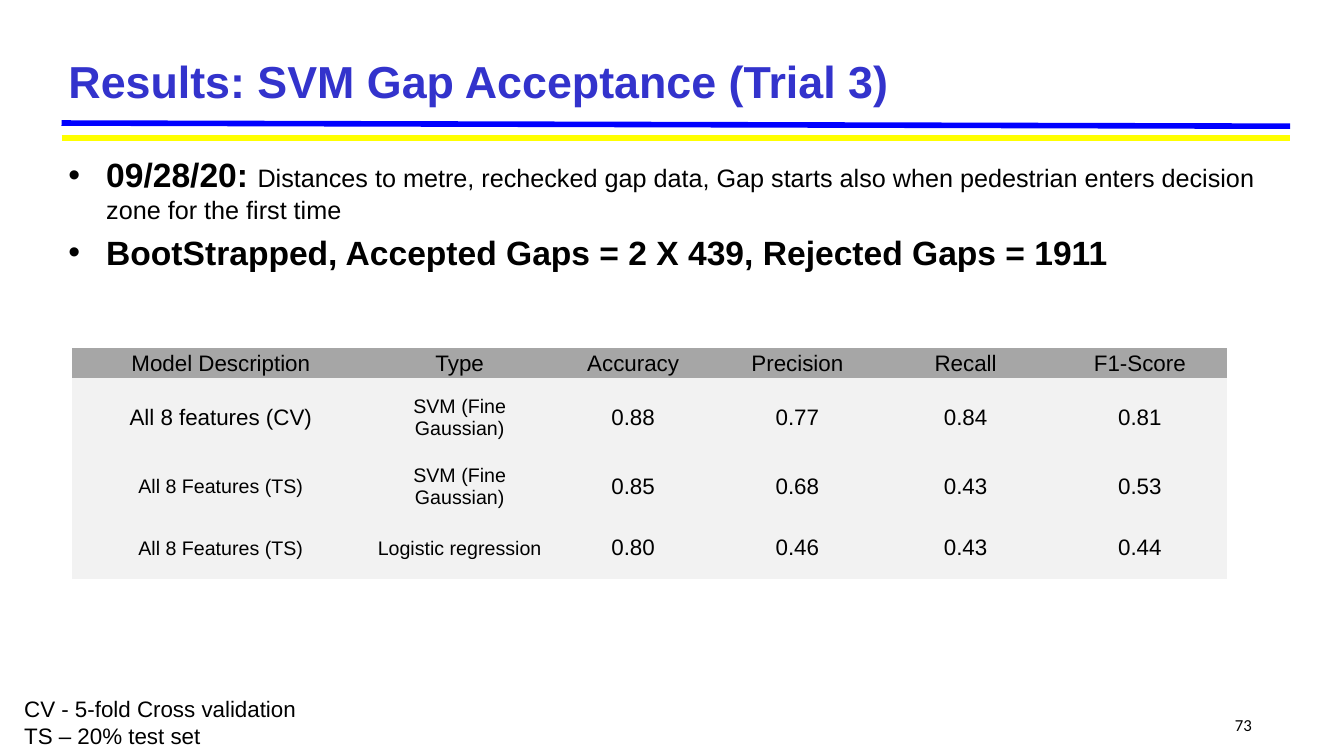
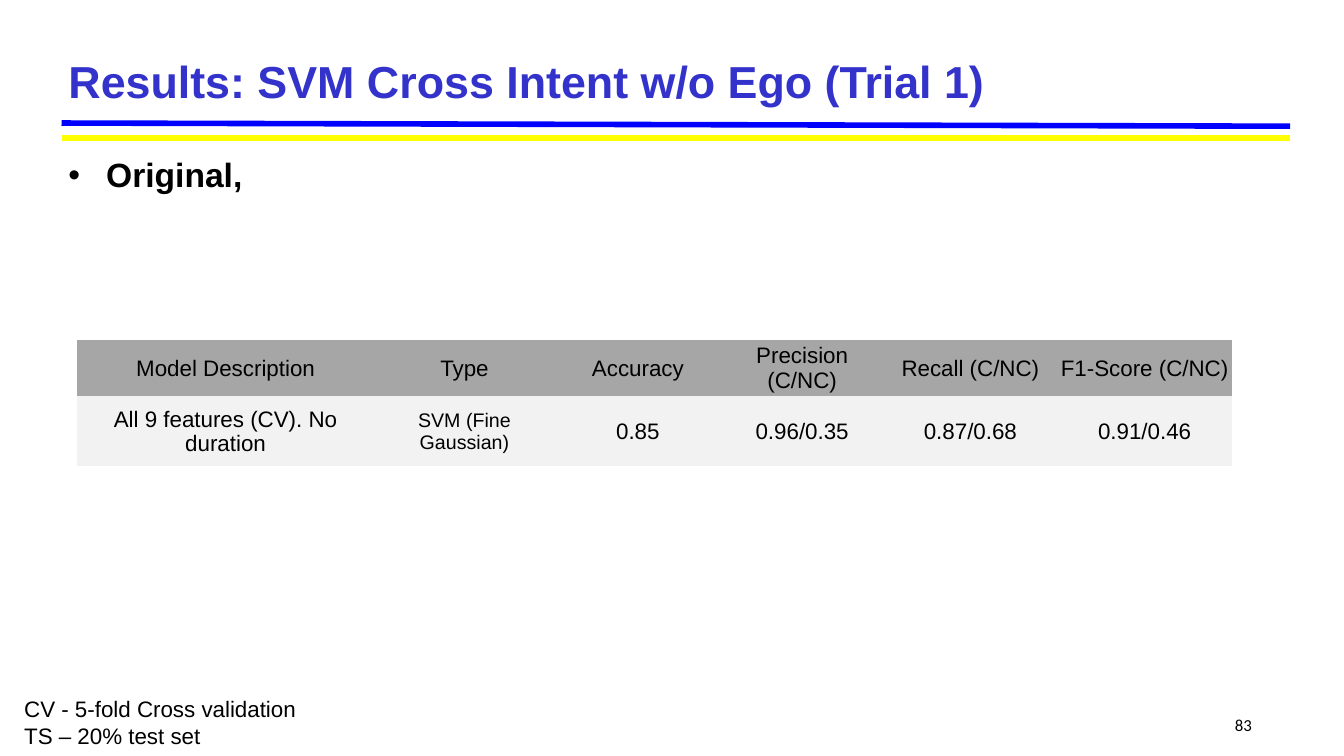
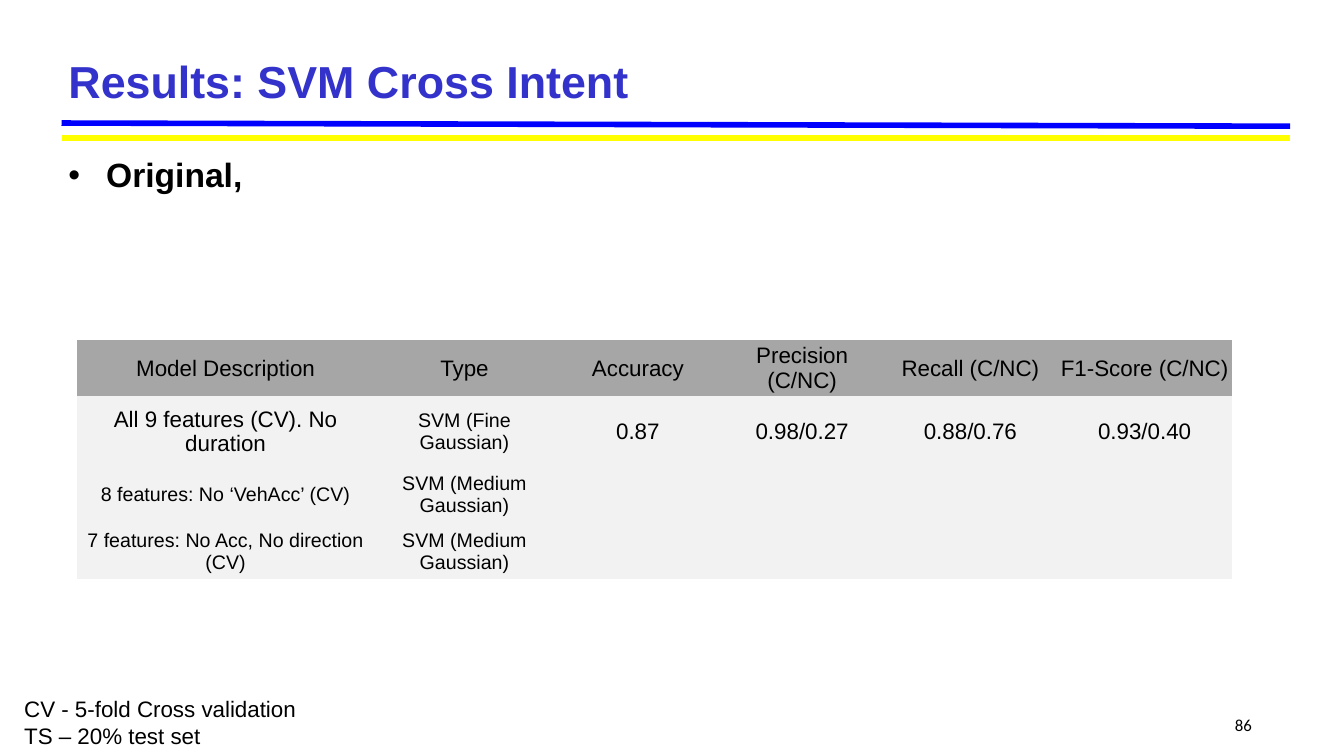
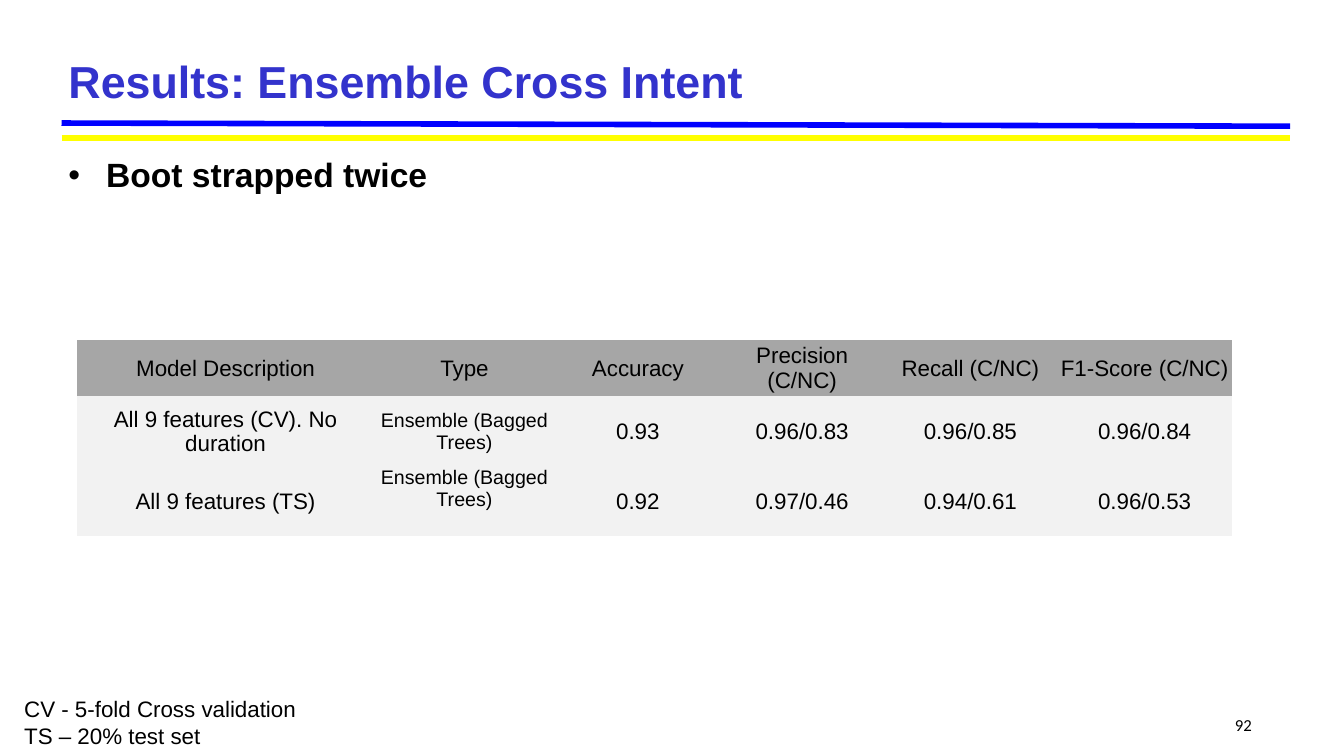
from pptx import Presentation
from pptx.dml.color import RGBColor
from pptx.enum.shapes import MSO_CONNECTOR
from pptx.enum.text import MSO_ANCHOR, MSO_AUTO_SIZE, PP_ALIGN
from pptx.oxml.ns import qn
from pptx.util import Cm, Pt
from lxml import etree

STRAIGHT = MSO_CONNECTOR.STRAIGHT
TOP, MIDDLE = MSO_ANCHOR.TOP, MSO_ANCHOR.MIDDLE
LEFT, CENTER, RIGHT = PP_ALIGN.LEFT, PP_ALIGN.CENTER, PP_ALIGN.RIGHT
NO_AUTOFIT = MSO_AUTO_SIZE.NONE

BLACK, HEADER_GREY, ROW_GREY = "000000", "A6A6A6", "F2F2F2"
TITLE_STYLE = {"name": "Arial", "size": Pt(32), "bold": True, "color": "3333CC"}
STRONG = {"name": "Arial", "size": Pt(24), "bold": True, "color": BLACK}
PLAIN = {"name": "Arial", "size": Pt(18), "bold": False, "color": BLACK}
LARGE = {"name": "Arial", "size": Pt(16), "color": BLACK}
SMALL = {"name": "Arial", "size": Pt(14), "color": BLACK}
NUMBER_STYLE = {"name": "Calibri", "size": Pt(12), "color": BLACK}

TITLE_AREA = (1.47, 1.27, 31.04, 1.5)
BODY_AREA = (1.47, 3.76, 31.17, 1.5)
NUMBER_AREA = (30.73, 17.88, 1.07, 0.66)
LEGEND_AREA = (0.36, 17.4, 16.94, 1.63)
RULES = [("0000FF", 3.1, 3.18), ("FFFF00", 3.48, 3.48)]
RULE_LEFT, RULE_RIGHT = 1.55, 32.51

LEGEND = ["CV - 5-fold Cross validation", "TS – 20% test set"]
COLUMN_WIDTHS = [7.49, 4.55, 4.19, 4.09, 4.39, 4.39]
TYPE_COLUMN = 1
NO_STYLE = "{2D5ABB26-0587-4C30-8999-92F81FD0307C}"
SCORES = ["Model Description", "Type", "Accuracy", "Precision", "Recall", "F1-Score"]
CLASS_SCORES = SCORES[:3] + [f"{name} (C/NC)" for name in SCORES[3:]]

PAGES = [
    {
        "title": "Results: SVM Gap Acceptance (Trial 3)",
        "number": "73",
        "bullets": [
            [("09/28/20: ", STRONG),
             ("Distances to metre, rechecked gap data, Gap starts also when "
              "pedestrian enters decision zone for the first time", PLAIN)],
            [("BootStrapped, Accepted Gaps = 2 X 439, Rejected Gaps = 1911", STRONG)],
        ],
        "corner": (1.82, 8.77),
        "header": (0.76, SCORES),
        "rows": [
            (1.95, LARGE, ["All 8 features (CV)", "SVM (Fine Gaussian)", "0.88", "0.77", "0.84", "0.81"]),
            (1.55, SMALL, ["All 8 Features (TS)", "SVM (Fine Gaussian)", "0.85", "0.68", "0.43", "0.53"]),
            (1.55, SMALL, ["All 8 Features (TS)", "Logistic regression", "0.80", "0.46", "0.43", "0.44"]),
        ],
    },
    {
        "title": "Results: SVM Cross Intent w/o Ego (Trial 1)",
        "number": "83",
        "bullets": [[("Original,", STRONG)]],
        "corner": (1.94, 8.57),
        "header": (1.42, CLASS_SCORES),
        "rows": [
            (1.76, LARGE, ["All 9 features (CV). No duration", "SVM (Fine Gaussian)",
                           "0.85", "0.96/0.35", "0.87/0.68", "0.91/0.46"]),
        ],
    },
    {
        "title": "Results: SVM Cross Intent",
        "number": "86",
        "bullets": [[("Original,", STRONG)]],
        "corner": (1.94, 8.57),
        "header": (1.42, CLASS_SCORES),
        "rows": [
            (1.76, LARGE, ["All 9 features (CV). No duration", "SVM (Fine Gaussian)",
                           "0.87", "0.98/0.27", "0.88/0.76", "0.93/0.40"]),
            (1.42, SMALL, ["8 features: No ‘VehAcc’ (CV)", "SVM (Medium Gaussian)", "", "", "", ""]),
            (1.42, SMALL, ["7 features: No Acc, No direction (CV)", "SVM (Medium Gaussian)", "", "", "", ""]),
        ],
    },
    {
        "title": "Results: Ensemble Cross Intent",
        "number": "92",
        "bullets": [[("Boot strapped twice", STRONG)]],
        "corner": (1.94, 8.57),
        "header": (1.42, CLASS_SCORES),
        "rows": [
            (1.76, LARGE, ["All 9 features (CV). No duration", "Ensemble (Bagged Trees)",
                           "0.93", "0.96/0.83", "0.96/0.85", "0.96/0.84"]),
            (1.76, LARGE, ["All 9 features (TS)", "Ensemble (Bagged Trees)",
                           "0.92", "0.97/0.46", "0.94/0.61", "0.96/0.53"]),
        ],
        "raised_cell": (2, TYPE_COLUMN),
    },
]


def color(value):
    return RGBColor.from_string(value)


def place(shape, area):
    for name, length in zip(("left", "top", "width", "height"), area):
        setattr(shape, name, Cm(length))


def write(para, text, style, align=None):
    span = para.add_run()
    span.text = text
    for name, value in style.items():
        if name == "color":
            span.font.color.rgb = color(value)
        else:
            setattr(span.font, name, value)
    if align is not None:
        para.alignment = align


def paragraphs(frame, count):
    return [frame.paragraphs[0]] + [frame.add_paragraph() for _ in range(count - 1)]


def add_text(page, area, lines, style, align):
    box = page.shapes.add_textbox(*map(Cm, area))
    box.text_frame.word_wrap = True
    for para, line in zip(paragraphs(box.text_frame, len(lines)), lines):
        write(para, line, style, align)


def add_rules(page):
    for value, start, end in RULES:
        rule = page.shapes.add_connector(
            STRAIGHT, Cm(RULE_LEFT), Cm(start), Cm(RULE_RIGHT), Cm(end))
        rule.line.color.rgb = color(value)
        rule.line.width = Pt(4)
        etree.SubElement(rule._element.spPr, qn("a:effectLst"))


def fill_placeholders(page, content):
    title, body = page.shapes.title, page.placeholders[1]
    for shape, area, anchor in ((title, TITLE_AREA, MIDDLE), (body, BODY_AREA, TOP)):
        place(shape, area)
        shape.text_frame.auto_size = NO_AUTOFIT
        shape.text_frame.vertical_anchor = anchor
    write(title.text_frame.paragraphs[0], content["title"], TITLE_STYLE, LEFT)
    bullets = content["bullets"]
    for index, para in enumerate(paragraphs(body.text_frame, len(bullets))):
        para.space_before = Pt(4.8 if index else 0)
        for text, style in bullets[index]:
            write(para, text, style)


def add_scores(page, content):
    height, names = content["header"]
    rows = [(height, LARGE, names)] + content["rows"]
    area = (*content["corner"], sum(COLUMN_WIDTHS), sum(row[0] for row in rows))
    table = page.shapes.add_table(len(rows), len(names), *map(Cm, area)).table
    table._tbl.tblPr.find(qn("a:tableStyleId")).text = NO_STYLE
    table.first_row = table.horz_banding = False
    for column, width in zip(table.columns, COLUMN_WIDTHS):
        column.width = Cm(width)
    for y, (height, label_style, texts) in enumerate(rows):
        table.rows[y].height = Cm(height)
        for x, text in enumerate(texts):
            cell = table.cell(y, x)
            cell.fill.solid()
            cell.fill.fore_color.rgb = color(ROW_GREY if y else HEADER_GREY)
            cell.vertical_anchor = TOP if (y, x) == content.get("raised_cell") else MIDDLE
            cell.margin_left = cell.margin_right = cell.margin_top = Cm(0.02)
            cell.margin_bottom = 0
            if text:
                style = label_style if x == 0 else SMALL if y and x == TYPE_COLUMN else LARGE
                write(cell.text_frame.paragraphs[0], text, style, CENTER)


def main():
    deck = Presentation()
    deck.slide_width, deck.slide_height = Cm(33.87), Cm(19.05)
    for content in PAGES:
        page = deck.slides.add_slide(deck.slide_layouts[1])
        add_rules(page)
        fill_placeholders(page, content)
        add_text(page, NUMBER_AREA, [content["number"]], NUMBER_STYLE, RIGHT)
        add_scores(page, content)
        add_text(page, LEGEND_AREA, LEGEND, LARGE, LEFT)
    deck.save("out.pptx")


if __name__ == "__main__":
    main()
